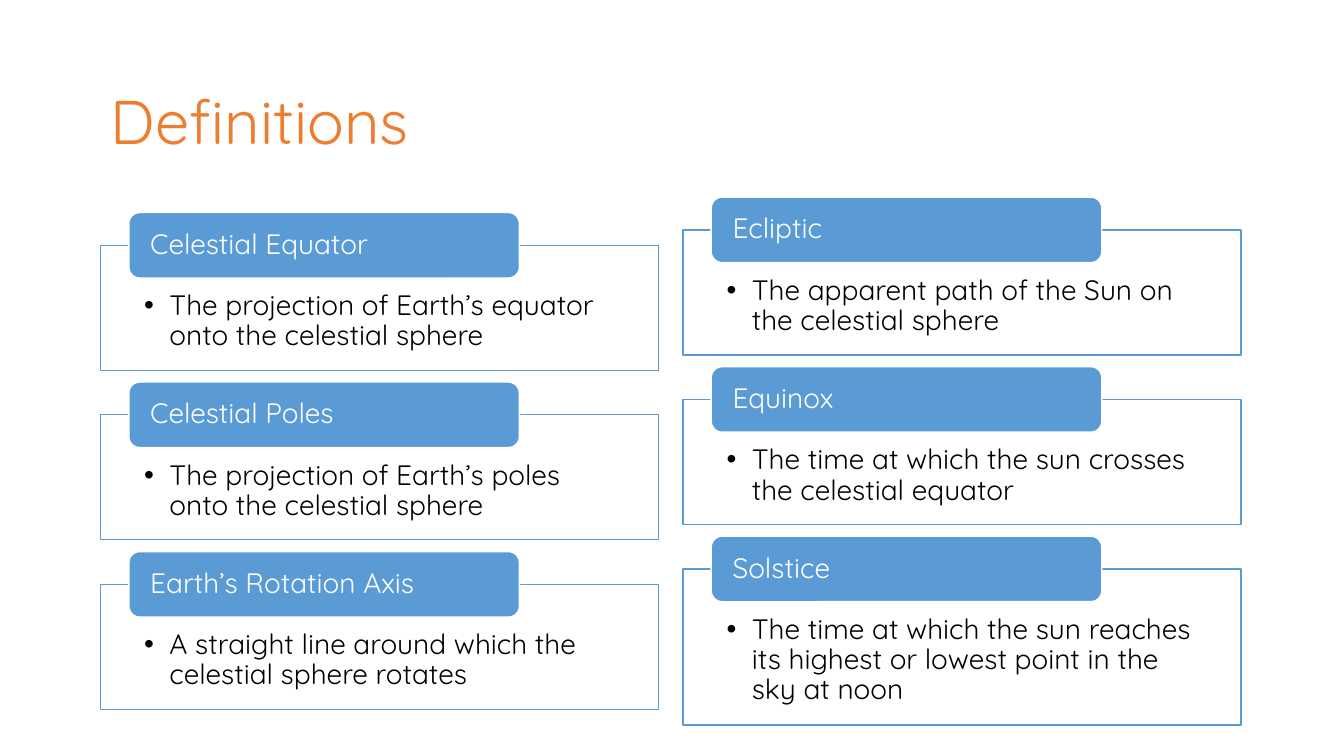
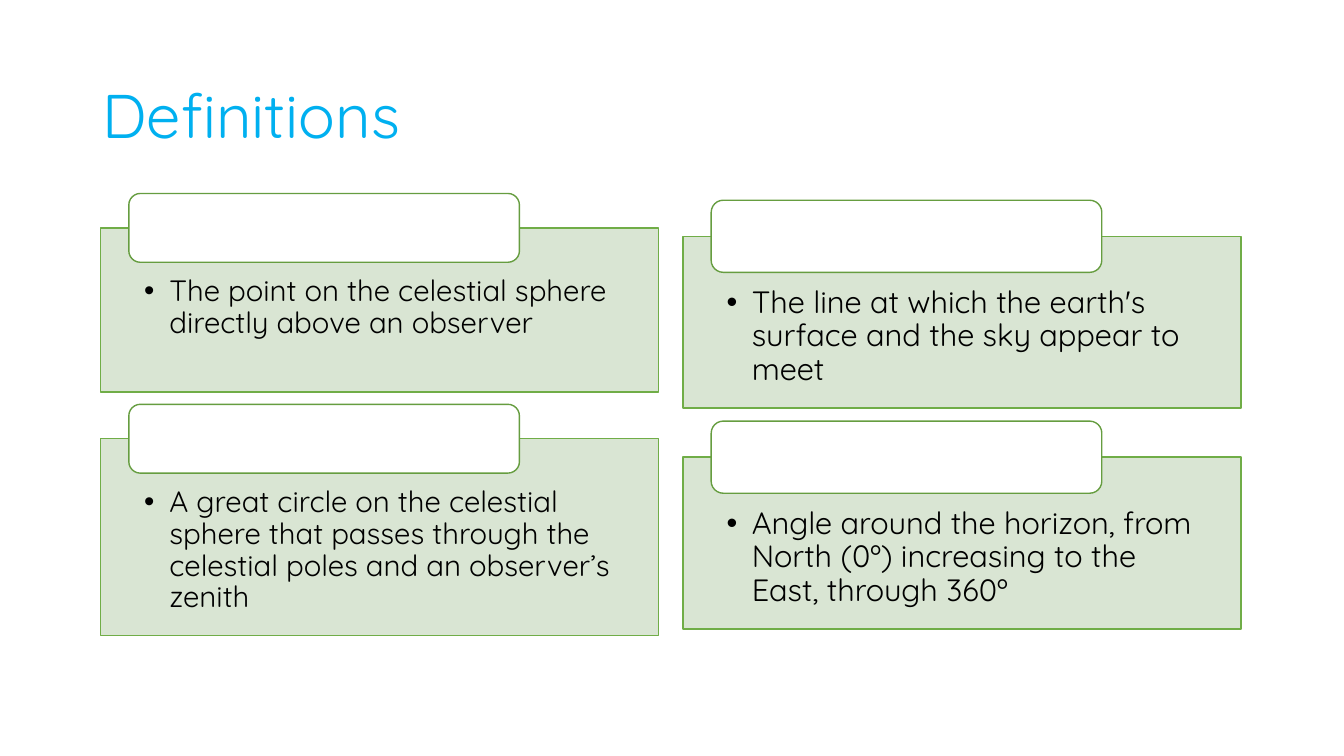
from pptx import Presentation
from pptx.dml.color import RGBColor
from pptx.enum import shapes, text
from pptx.oxml import ns, xmlchemy
from pptx.util import Pt

FONT = "Quicksand"
COLORS = {
    "white": "FFFFFF", "black": "000000",
    "orange": "ED7D31", "sky": "00B0F0",
    "blue": "5B9BD5", "green": "70AD47",
    "dark_green": "669D40", "pale_green": "D5E3CF",
}
# Box fill and line, then tab fill and line
BLUE_CARD = ("white", "blue", "blue", "white")
GREEN_CARD = ("pale_green", "green", "white", "dark_green")
COLUMN_LEFTS = (72, 488)
BOX_WIDTH, TAB_WIDTH, TAB_INDENT = 398.5, 279, 20


def rgb(name):
    return RGBColor.from_string(COLORS[name])


def add_child(parent, tag, **attrs):
    child = xmlchemy.OxmlElement(tag)
    for key, value in attrs.items():
        child.set(key, str(value))
    parent.append(child)
    return child


def write(sp, content, size=20, color="black", anchor="MIDDLE",
          insets=(7.2, 3.6, 7.2, 3.6), spacing=None, bullet=False):
    """Write one left-aligned paragraph; insets run left, top, right, bottom."""
    tf = sp.text_frame
    tf.word_wrap = True
    tf.vertical_anchor = text.MSO_ANCHOR[anchor]
    tf.margin_left, tf.margin_top, tf.margin_right, tf.margin_bottom = map(Pt, insets)
    p = tf.paragraphs[0]
    p.alignment = text.PP_ALIGN.LEFT
    if spacing:
        p.line_spacing = spacing
    if bullet:
        pPr = p._p.get_or_add_pPr()
        pPr.set("marL", str(Pt(18)))
        pPr.set("indent", str(-Pt(18)))
        add_child(pPr, "a:buFont", typeface="Arial")
        add_child(pPr, "a:buChar", char="•")
    r = p.add_run()
    r.text = content
    r.font.name, r.font.size = FONT, Pt(size)
    r.font.color.rgb = rgb(color)


class Deck:
    def __init__(self):
        self.prs = Presentation()
        self.prs.slide_width, self.prs.slide_height = Pt(960), Pt(540)
        self.s = None

    def slide(self):
        self.s = self.prs.slides.add_slide(self.prs.slide_layouts[6])

    def title(self, content, color, left, top, width, height):
        sp = self.s.shapes.add_textbox(Pt(left), Pt(top), Pt(width), Pt(height))
        write(sp, content, size=44, color=color)

    def shape(self, kind, left, top, width, height, fill, line, alpha=None):
        sp = self.s.shapes.add_shape(shapes.MSO_SHAPE[kind], Pt(left), Pt(top),
                                     Pt(width), Pt(height))
        sp.shadow.inherit = False
        sp.fill.solid()
        sp.fill.fore_color.rgb = rgb(fill)
        sp.line.color.rgb = rgb(line)
        sp.line.width = Pt(1)
        if alpha:
            srgb = sp._element.spPr.find(ns.qn("a:solidFill"))[0]
            add_child(srgb, "a:alpha", val=alpha * 1000)
        return sp

    def card(self, left, top, height, label, body, size, style):
        """A bulleted box with a tab centred on its top edge."""
        box_fill, box_line, tab_fill, tab_line = style
        box = self.shape("RECTANGLE", left, top, BOX_WIDTH, height,
                         box_fill, box_line, alpha=90)
        write(box, body, size=size, anchor="TOP", spacing=0.9, bullet=True,
              insets=(31, 1.65 * size, 31, 11.5))
        tab_height = 2.34 * size
        tab = self.shape("ROUNDED_RECTANGLE", left + TAB_INDENT, top - tab_height / 2,
                         TAB_WIDTH, tab_height, tab_fill, tab_line)
        if label:
            write(tab, label, size=size, color="white", spacing=0.9,
                  insets=(13, 0, 13, 0))

    def column(self, left, top, cards, size, style):
        """Stack cards with a gap that follows the text size."""
        for height, label, body in cards:
            self.card(left, top, height, label, body, size, style)
            top += height + 1.59 * size


def main():
    deck = Deck()

    # Sky definitions: blue tabs with terms
    deck.slide()
    deck.title("Definitions", "orange", 72, 47.5, 815, 76.5)
    deck.column(COLUMN_LEFTS[0], 175.2, [
        (89.3, "Celestial Equator",
         "The projection of Earth’s equator onto the celestial sphere"),
        (89.3, "Celestial Poles",
         "The projection of Earth’s poles onto the celestial sphere"),
        (89.3, "Earth’s Rotation Axis",
         "A straight line around which the celestial sphere rotates"),
    ], 20, BLUE_CARD)
    deck.column(COLUMN_LEFTS[1], 164.2, [
        (89.3, "Ecliptic", "The apparent path of the Sun on the celestial sphere"),
        (89.3, "Equinox", "The time at which the sun crosses the celestial equator"),
        (111.6, "Solstice", "The time at which the sun reaches its highest or "
                            "lowest point in the sky at noon"),
    ], 20, BLUE_CARD)

    # Observer definitions: green boxes with empty tabs
    deck.slide()
    deck.title("Definitions", "sky", 66, 29, 828, 104)
    deck.column(COLUMN_LEFTS[0], 162.8, [
        (117.2, None, "The point on the celestial sphere directly above an observer"),
        (140.4, None, "A great circle on the celestial sphere that passes through "
                      "the celestial poles and an observer’s zenith"),
    ], 21, GREEN_CARD)
    deck.column(COLUMN_LEFTS[1], 168.8, [
        (122.8, None, "The line at which the earth's surface and the sky appear to meet"),
        (122.8, None, "Angle around the horizon, from North (0º) increasing to the "
                      "East, through 360º"),
    ], 22, GREEN_CARD)

    deck.prs.save("out.pptx")


if __name__ == "__main__":
    main()
